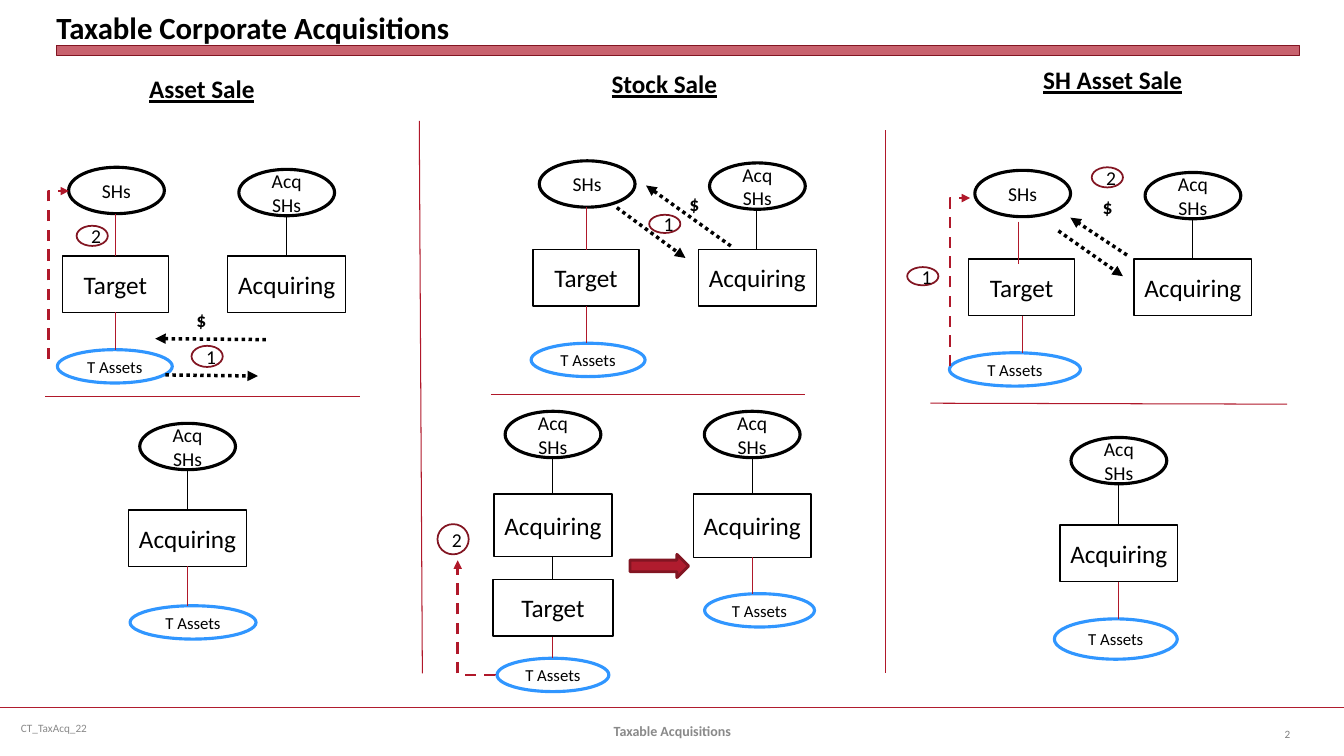
"""Build the slide comparing three forms of taxable corporate acquisition."""
from lxml.etree import SubElement as Sub
from pptx import Presentation
from pptx.dml.color import RGBColor as Rgb
from pptx.enum.dml import MSO_LINE as Dash
from pptx.enum.shapes import MSO_CONNECTOR as Conn, MSO_SHAPE as Form
from pptx.enum.text import MSO_ANCHOR as Anchor, MSO_AUTO_SIZE as Auto, PP_ALIGN as Align
from pptx.oxml.ns import qn
from pptx.util import Pt

HUES = {"black": "000000", "white": "FFFFFF", "red": "B0182A", "brand": "B01C2E",
        "wine": "821522", "blue": "3096FF", "gray": "898989", "mid": "808080"}

deck = Presentation()
deck.slide_width, deck.slide_height = Pt(960), Pt(540)
slide = deck.slides.add_slide(deck.slide_layouts[5])
shapes = slide.shapes


def put(text, box, item=None, form=None, fill=None, edge=None, wide=1, size=18, hue="black",
        bold=False, under=False, align=Align.LEFT, anchor=Anchor.MIDDLE, fit=False, inset=None):
    """Place a shape, text box or placeholder and format its text."""
    place = [Pt(v) for v in box]
    if item is not None:
        item.left, item.top, item.width, item.height = place
    elif form is None:
        item = shapes.add_textbox(*place)
    else:
        item = shapes.add_shape(form, *place)
        item.shadow.inherit = False
        if fill:
            item.fill.solid()
            item.fill.fore_color.rgb = Rgb.from_string(HUES[fill])
        else:
            item.fill.background()
        item.line.color.rgb = Rgb.from_string(HUES[edge])
        item.line.width = Pt(wide)
    if not text:
        return item
    frame = item.text_frame
    frame.text = text
    frame.word_wrap = not fit
    frame.auto_size = Auto.SHAPE_TO_FIT_TEXT if fit else Auto.NONE
    frame.vertical_anchor = anchor
    if inset is not None:
        frame.margin_left = frame.margin_top = frame.margin_right = frame.margin_bottom = Pt(inset)
    for para in frame.paragraphs:
        para.alignment = align
        font = para.font
        font.name, font.size, font.bold, font.underline = "Calibri", Pt(size), bold, under
        font.color.rgb = Rgb.from_string(HUES[hue])
    return item


def link(ends, hue="red", wide=0.75, dash=None, kind=Conn.STRAIGHT):
    """Draw a line; a dashed one ends in an arrowhead."""
    wire = shapes.add_connector(kind, *[Pt(v) for v in ends])
    wire.line.color.rgb = Rgb.from_string(HUES[hue])
    wire.line.width = Pt(wide)
    prop = wire._element.spPr
    if dash:
        wire.line.dash_style = dash
        Sub(prop.find(qn("a:ln")), qn("a:tailEnd"), type="triangle")
    Sub(prop, qn("a:effectLst"))
    return wire


OWNER = dict(form=Form.OVAL, edge="black", wide=2.25, size=14, align=Align.CENTER)
FIRM = dict(form=Form.RECTANGLE, edge="black", align=Align.CENTER)
ASSET = dict(form=Form.OVAL, edge="blue", wide=2.25, size=12, align=Align.CENTER)
BADGE = dict(form=Form.OVAL, fill="white", edge="wine", wide=1.25, size=14, align=Align.CENTER)

link((0, 505.4, 960, 505.4), "brand", 1.25)
put("CT_TaxAcq_22", (7.9, 505.4, 247.7, 28.8), size=8, hue="gray")
put("Taxable Acquisitions", (328.3, 507.6, 303.8, 28.8), size=10, hue="gray", bold=True,
    align=Align.CENTER)
put("2", (880.6, 509.8, 48.2, 28.8), size=8, hue="mid", align=Align.RIGHT)
bar = put("", (40.3, 32.4, 887.8, 7.2), form=Form.RECTANGLE, fill="brand", edge="wine", wide=0)
Sub(bar._element.spPr.find(".//" + qn("a:srgbClr")), qn("a:alpha"), val="69000")
put("Taxable Corporate Acquisitions", (40.3, 3.6, 887.8, 28.8), item=shapes.title,
    size=22, bold=True, anchor=Anchor.BOTTOM, inset=0)

deals = [
    ("Asset Sale", (99.4, 49, 90.7), 0, 0, "Acq SHs", 41, 82.1, (0, 0)),
    ("Stock Sale", (429.8, 45.4, 90.7), 336.2, -4.6, "Acq\nSHs", 379.4, 81.4, (0, 0)),
    ("SH Asset Sale", (738, 42.5, 114.5), 647.3, 2.2, "Acq SHs", 678.2, 93.6, (-2.9, 3.5)),
]
for name, head, dx, dy, buyer, left, width, (sx, sy) in deals:
    put(name, (*head, 28.8), bold=True, under=True, fit=True, anchor=Anchor.TOP)
    put("SHs", (49 + dx, 119.5 + dy, 68.4, 33.1), **OWNER)
    put("Target", (44.6 + dx, 182.9 + dy, 75.6, 40.3), **FIRM)
    put("T Assets", (left, 249.8 + dy, width, 23.8), **ASSET)
    put(buyer, (170.6 + dx, 121 + dy, 68.4, 33.1), **OWNER)
    put("Acquiring", (162.7 + dx, 182.9 + dy, 84.2, 40.3), **FIRM)
    link((82.8 + dx + sx, 152.6 + dy + sy, 82.8 + dx + sx, 182.9 + dy + sy))
    link((82.8 + dx, 223.2 + dy, 82.8 + dx, 249.8 + dy))
    link((204.5 + dx, 154.1 + dy, 204.5 + dx, 182.9 + dy), "black")

results = [
    (134, 302.4, 364.3, 40.3, 404.6, (92.9, 432.7, 90, 23.8)),
    (395, 293.8, 352.8, 44.6, 454.3, (355, 470.2, 79.9, 23.8)),
    (537.3, 293.8, 352.8, 45.4, 398.2, (503.3, 424.1, 78.5, 23.8)),
    (799.2, 312.5, 375.1, 40.3, 415.4, (753.1, 442.1, 87.8, 28.8)),
]
for mid, top, roof, high, floor, pool in results:
    put("Acq\nSHs", (mid - 34.2, top, 68.4, 33.1), **OWNER)
    put("Acquiring", (mid - 42.1, roof, 84.2, high), **FIRM)
    put("T Assets", pool, **ASSET)
    link((mid, top + 33.1, mid, roof), "black")
    link((mid, floor, mid, pool[1]))
put("Target", (352.1, 414, 85.7, 40.3), **FIRM)
link((395, 397.4, 395, 414), "black")
put("", (450, 396, 41.8, 16.6), form=Form.RIGHT_ARROW, fill="brand", edge="wine", wide=2)

rules = [(299.5, 86.4, 301.7, 481), (632.2, 92.9, 632.2, 481), (32.4, 283, 257, 283),
         (350.6, 281.5, 575.3, 281.5), (664.6, 288, 919.4, 288.7)]
for ends in rules:
    link(ends)

swaps = [(190, 242.6, 110.9, 241.9), (118.1, 267.8, 184.3, 268.6),
         (440.6, 148.3, 489.6, 184.3), (522, 175.7, 461.5, 132.5),
         (756, 164.9, 802.1, 197.3), (805, 182.2, 764.6, 155.5)]
for ends in swaps:
    link(ends, "black", 2.5, Dash.ROUND_DOT)

elbows = [((102.2, 203.8, -18, 189.4), 90, "bentConnector2"),
          ((745.9, 208.8, 625.7, 194.4), 90, "bentConnector2"),
          ((299.5, 454.3, 380.9, 427.7), 270, "bentConnector3")]
for ends, turn, kind in elbows:
    prop = link(ends, wide=2, dash=Dash.DASH, kind=Conn.ELBOW)._element.spPr
    prop.find(qn("a:xfrm")).set("rot", str(turn * 60000))
    geom = prop.find(qn("a:prstGeom"))
    geom.set("prst", kind)
    if kind == "bentConnector3":
        Sub(geom.find(qn("a:avLst")), qn("a:gd"), name="adj1", fmla="val -600")

steps = [("1", 136.8, 247, 15.1), ("2", 54.7, 161.3, 14.4), ("1", 463.7, 153.4, 13),
         ("2", 312.5, 374.4, 21.6), ("2", 779.8, 119.5, 14.4), ("1", 648, 190.8, 13)]
for num, x, y, high in steps:
    put(num, (x, y, 22.3, high), **BADGE)

for x, y in [(133.2, 216.7), (485.3, 133.2), (780.5, 135.4)]:
    put("$", (x, y, 21.6, 24.5), size=14, bold=True, fit=True, anchor=Anchor.TOP)

deck.save("out.pptx")
